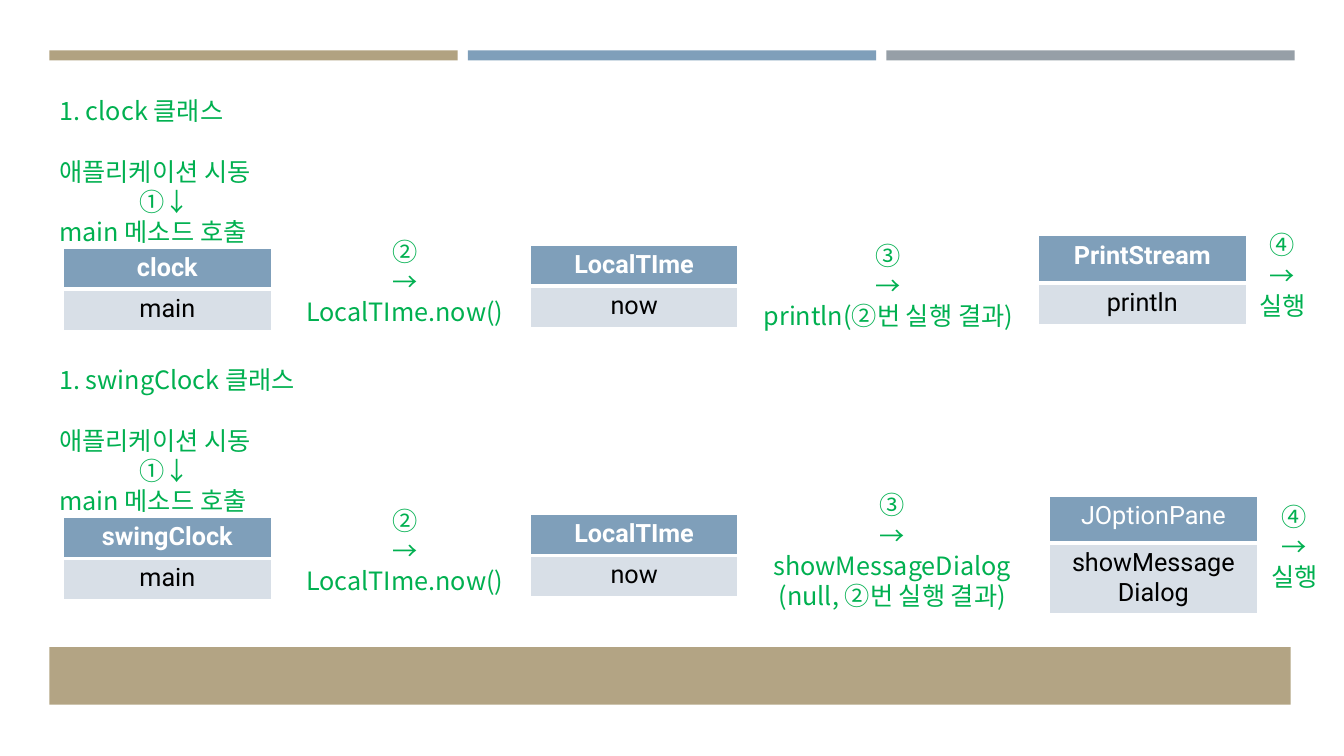
from dataclasses import dataclass

from lxml.etree import SubElement
from pptx import Presentation
from pptx.dml.color import RGBColor
from pptx.enum.shapes import MSO_SHAPE
from pptx.enum.text import MSO_AUTO_SIZE, PP_ALIGN
from pptx.oxml import parse_xml
from pptx.oxml.ns import nsdecls, qn
from pptx.slide import Slide
from pptx.util import Inches, Pt

TAN = RGBColor(0xB1, 0xA2, 0x81)
BLUE = RGBColor(0x7F, 0x9F, 0xBA)
GREY = RGBColor(0x96, 0x9F, 0xA7)
PALE = RGBColor(0xD8, 0xDF, 0xE7)
GREEN = RGBColor(0x00, 0xB0, 0x50)
WHITE = RGBColor(0xFF, 0xFF, 0xFF)
BLACK = RGBColor(0x00, 0x00, 0x00)
NOTE_FONT = "Noto Sans CJK KR"
TABLE_FONT = "Roboto"
LEFT, CENTER = PP_ALIGN.LEFT, PP_ALIGN.CENTER
FLOW_STEP = 2.67


@dataclass(frozen=True)
class Bar:
    x: float
    y: float
    w: float
    h: float
    color: RGBColor
    alpha: int = 100


@dataclass(frozen=True)
class Note:
    x: float
    y: float
    w: float
    h: float
    lines: tuple[str, ...]
    aligns: tuple[PP_ALIGN, ...] = ()


@dataclass(frozen=True)
class ClassBox:
    x: float
    y: float
    name: str
    methods: tuple[str, ...]
    heights: tuple[float, float] = (0.41, 0.41)
    bold: bool = True


@dataclass(frozen=True)
class Flow:
    class_name: str
    output_call: Note
    output_box: ClassBox
    run_note: Note


BARS = [Bar(0.49 + 4.15 * i, 0.5, 4.05, 0.1, color) for i, color in enumerate((TAN, BLUE, GREY))]
BARS.append(Bar(0.49, 6.42, 12.31, 0.57, TAN, 97))

FLOWS = [
    Flow(
        "clock",
        Note(7.27, 2.33, 3.08, 1.01, ("③", "→", "println(②번 실행 결과)")),
        ClassBox(10.3, 2.34, "PrintStream", ("println",), (0.47, 0.41)),
        Note(11.18, 2.23, 3.08, 1.01, ("④", "→", "실행")),
    ),
    Flow(
        "swingClock",
        Note(7.27, 4.81, 3.16, 1.31, ("③", "→", "showMessageDialog", "(null, ②번 실행 결과)")),
        ClassBox(10.41, 4.92, "JOptionPane", ("showMessage", "Dialog"), (0.47, 0.7), False),
        Note(11.3, 4.92, 3.08, 1.01, ("④", "→", "실행")),
    ),
]


def add_bar(s: Slide, bar: Bar) -> None:
    """Draw one plain colour bar."""
    sp = s.shapes.add_shape(
        MSO_SHAPE.RECTANGLE, Inches(bar.x), Inches(bar.y), Inches(bar.w), Inches(bar.h)
    )
    sp.shadow.inherit = False
    sp.line.fill.background()
    sp.fill.solid()
    sp.fill.fore_color.rgb = bar.color
    if bar.alpha < 100:
        color = sp.fill._xPr.find(qn("a:solidFill"))[0]
        SubElement(color, qn("a:alpha")).set("val", str(bar.alpha * 1000))


def add_line(p, text: str, font: str, color: RGBColor, align: PP_ALIGN, bold: bool = False) -> None:
    """Fill a paragraph with one styled run."""
    p.alignment = align
    r = p.add_run()
    r.text = text
    r.font.size = Pt(18)
    r.font.bold = bold
    r.font.color.rgb = color
    r.font.name = font
    SubElement(r.font._element, qn("a:ea")).set("typeface", font)


def add_note(s: Slide, note: Note) -> None:
    """Draw a green text note, centred unless told otherwise."""
    tb = s.shapes.add_textbox(Inches(note.x), Inches(note.y), Inches(note.w), Inches(note.h))
    tf = tb.text_frame
    tf.word_wrap = True
    tf.auto_size = MSO_AUTO_SIZE.SHAPE_TO_FIT_TEXT
    aligns = note.aligns or (CENTER,) * len(note.lines)
    for i, (line, align) in enumerate(zip(note.lines, aligns)):
        p = tf.add_paragraph() if i else tf.paragraphs[0]
        add_line(p, line, NOTE_FONT, GREEN, align)


def set_borders(cell, top: int, bottom: int) -> None:
    """Give a cell white borders, with widths in points."""
    tc_pr = cell._tc.get_or_add_tcPr()
    for i, (side, width) in enumerate((("L", 1), ("R", 1), ("T", top), ("B", bottom))):
        tc_pr.insert(i, parse_xml(
            f'<a:ln{side} {nsdecls("a")} w="{Pt(width)}"><a:solidFill>'
            f'<a:srgbClr val="{WHITE}"/></a:solidFill></a:ln{side}>'
        ))


def add_class_box(s: Slide, box: ClassBox) -> None:
    """Draw a class name above its method as a two-row table."""
    table = s.shapes.add_table(
        2, 1, Inches(box.x), Inches(box.y), Inches(2.06), Inches(sum(box.heights))
    ).table
    rows = (
        ((box.name,), BLUE, WHITE, box.bold, 1, 3),
        (box.methods, PALE, BLACK, False, 3, 1),
    )
    for i, (lines, fill, color, bold, top, bottom) in enumerate(rows):
        table.rows[i].height = Inches(box.heights[i])
        cell = table.cell(i, 0)
        cell.fill.solid()
        cell.fill.fore_color.rgb = fill
        set_borders(cell, top, bottom)
        tf = cell.text_frame
        for j, line in enumerate(lines):
            p = tf.add_paragraph() if j else tf.paragraphs[0]
            add_line(p, line, TABLE_FONT, color, CENTER, bold)


def add_flow(s: Slide, flow: Flow, dy: float) -> None:
    """Draw one call sequence, shifted down by dy inches."""
    start = ("애플리케이션 시동", "①↓ ", "main 메소드 호출")
    add_note(s, Note(0.49, 1.5 + dy, 2.34, 1.01, start, (LEFT, CENTER, LEFT)))
    add_note(s, Note(0.49, 0.9 + dy, 3.57, 0.4, (f"1. {flow.class_name} 클래스",), (LEFT,)))
    add_class_box(s, ClassBox(0.63, 2.46 + dy, flow.class_name, ("main",)))
    add_class_box(s, ClassBox(5.26, 2.43 + dy, "LocalTIme", ("now",)))
    add_note(s, Note(2.62, 2.29 + dy, 2.79, 1.01, ("②", "→", "LocalTIme.now()")))
    add_class_box(s, flow.output_box)
    add_note(s, flow.output_call)
    add_note(s, flow.run_note)


def main() -> None:
    """Build the slide and save it."""
    prs = Presentation()
    prs.slide_width, prs.slide_height = Inches(13.33), Inches(7.5)
    s = prs.slides.add_slide(prs.slide_layouts[6])
    for bar in BARS:
        add_bar(s, bar)
    for i, flow in enumerate(FLOWS):
        add_flow(s, flow, i * FLOW_STEP)
    prs.save("out.pptx")


if __name__ == "__main__":
    main()
